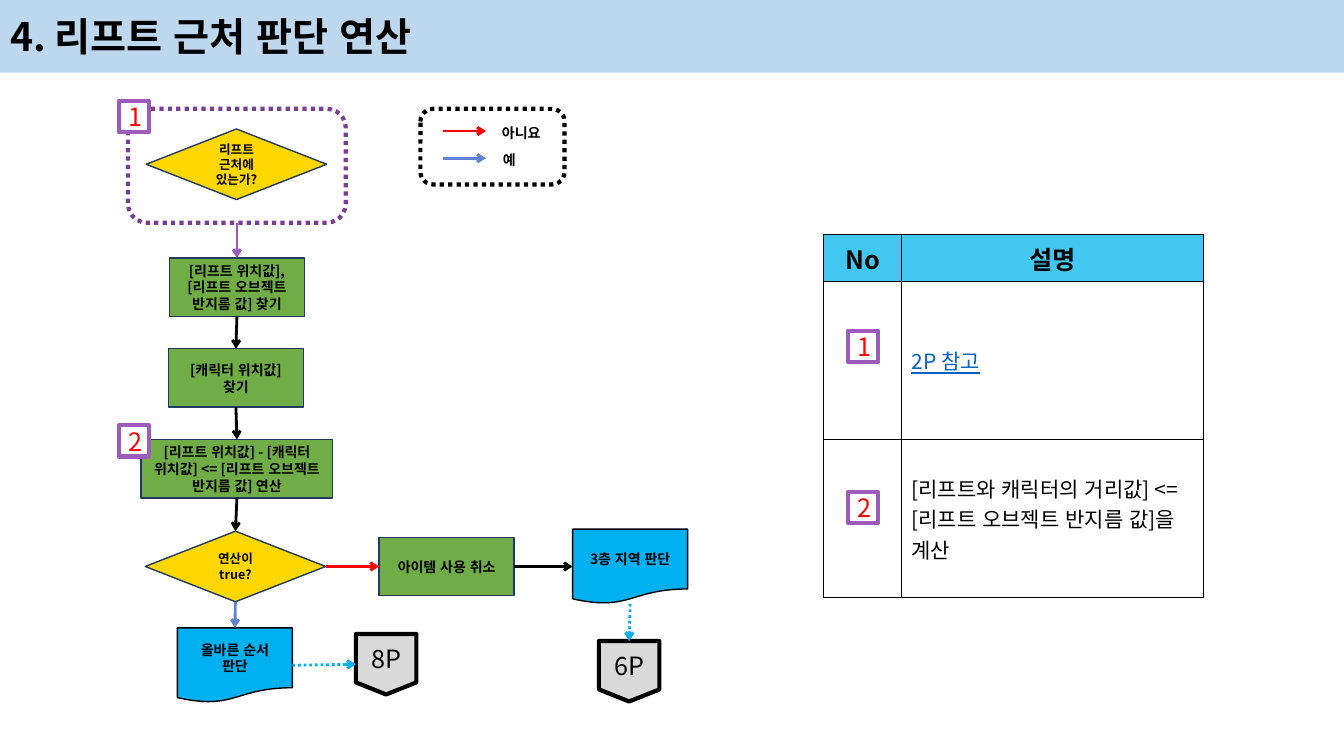
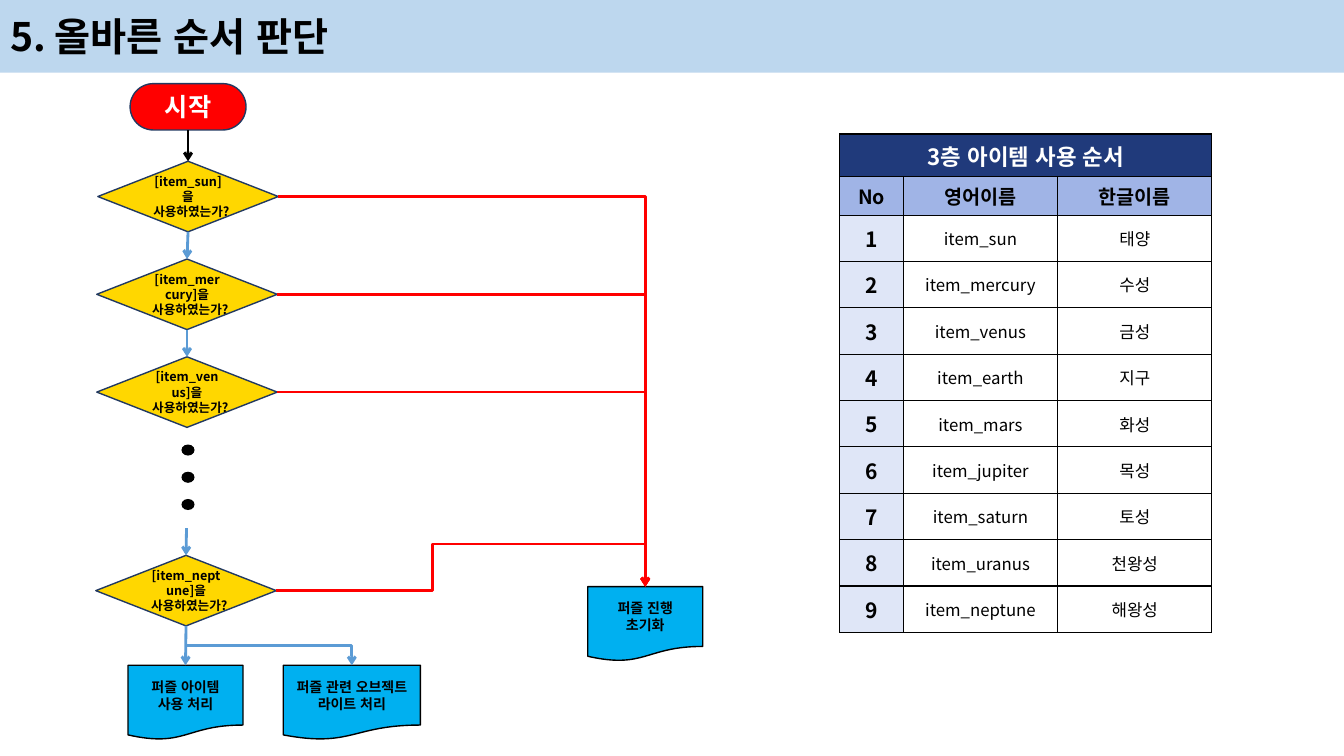
from lxml.etree import SubElement
from pptx import Presentation
from pptx.dml.color import RGBColor
from pptx.enum.dml import MSO_LINE
from pptx.enum.lang import MSO_LANGUAGE_ID
from pptx.enum.shapes import MSO_CONNECTOR, MSO_SHAPE
from pptx.enum.text import MSO_ANCHOR, MSO_AUTO_SIZE, PP_ALIGN
from pptx.oxml import parse_xml
from pptx.oxml.ns import nsdecls, qn
from pptx.util import Inches, Pt

FONT = "Noto Sans CJK KR"
BLACK, WHITE, RED = "000000", "FFFFFF", "FF0000"
BAND, NAVY, YELLOW, GREEN = "BDD7EE", "223961", "FFD700", "70AD47"
CYAN, GRAY, PURPLE, VIOLET = "00B0F0", "D9D9D9", "9D5CBB", "783E94"
YES, NEXT = "6182D6", "5B9BD5"
TOP, BOTTOM, RIGHT, LEFT = 0, 2, 3, 1
color = RGBColor.from_string


def write(frame, text, size, ink=BLACK, bold=True, align=PP_ALIGN.CENTER, underline=None):
    frame.text = text
    for paragraph in frame.paragraphs:
        paragraph.alignment = align
        font = paragraph.font
        font.size = Pt(size)
        font.bold = bold
        font.underline = underline
        font.name = FONT
        font.color.rgb = color(ink)
        font.language_id = MSO_LANGUAGE_ID.KOREAN
        defaults = paragraph._p.find(".//" + qn("a:defRPr"))
        SubElement(defaults, qn("a:ea"), typeface=FONT)


def add_block(shapes, preset, box, fill=None, line=None, width=1, text="", size=10,
              ink=BLACK, bold=True, dash=None):
    block = shapes.add_shape(preset, *map(Inches, box))
    block.shadow.inherit = False
    if fill:
        block.fill.solid()
        block.fill.fore_color.rgb = color(fill)
    else:
        block.fill.background()
    if line:
        block.line.color.rgb = color(line)
        block.line.width = Pt(width)
        block.line.dash_style = dash
    else:
        block.line.fill.background()
    if text:
        block.text_frame.vertical_anchor = MSO_ANCHOR.MIDDLE
        write(block.text_frame, text, size, ink, bold)
    return block


deck = Presentation()
deck.slide_width, deck.slide_height = Inches(13.33), Inches(7.5)

canvases = []
for heading in ("4. 리프트 근처 판단 연산", "5. 올바른 순서 판단"):
    slide = deck.slides.add_slide(deck.slide_layouts[5])
    title = slide.shapes.title
    title.left, title.top, title.width, title.height = map(Inches, (0, 0, 13.33, 0.72))
    title.fill.solid()
    title.fill.fore_color.rgb = color(BAND)
    title.text_frame.auto_size = MSO_AUTO_SIZE.NONE
    title.text_frame.vertical_anchor = MSO_ANCHOR.MIDDLE
    write(title.text_frame, heading, 28, align=PP_ALIGN.LEFT)
    canvases.append(slide.shapes)
lift, order = canvases

tables = [
    (lift, 8.17, 2.33, (0.77, 3), (0.34, 1.57, 1.57), [
        [("No", 18, "42C7F1"), ("설명", 18, "42C7F1")],
        [("", 15, WHITE), ("2P 참고", 15, WHITE, "0563C1", False, PP_ALIGN.LEFT, True)],
        [("", 15, WHITE), ("[리프트와 캐릭터의 거리값] <= [리프트 오브젝트 반지름 값]을 계산",
                           15, WHITE, BLACK, False, PP_ALIGN.LEFT)],
    ]),
]
item_rows = [
    [("3층 아이템 사용 순서", 16, "203A7B", WHITE), ("", 16, "203A7B"), ("", 16, "203A7B")],
    [(name, 14, "A0B4E6") for name in ("No", "영어이름", "한글이름")],
]
planets = [("sun", "태양"), ("mercury", "수성"), ("venus", "금성"), ("earth", "지구"),
           ("mars", "화성"), ("jupiter", "목성"), ("saturn", "토성"),
           ("uranus", "천왕성"), ("neptune", "해왕성")]
for number, (english, korean) in enumerate(planets, 1):
    item_rows.append([(str(number), 15, "DFE6F7"),
                      (f"item_{english}", 12, WHITE, BLACK, False),
                      (korean, 12, WHITE, BLACK, False)])
tables.append((order, 8.33, 1.33, (0.63, 1.53, 1.53), (0.37, 0.33) + (0.46,) * 9, item_rows))

for shapes, left, top, widths, heights, rows in tables:
    table = shapes.add_table(len(heights), len(widths), Inches(left), Inches(top),
                             Inches(sum(widths)), Inches(sum(heights))).table
    table.first_row = table.horz_banding = False
    for column, width in zip(table.columns, widths):
        column.width = Inches(width)
    for row, height, entries in zip(table.rows, heights, rows):
        row.height = Inches(height)
        for cell, (text, size, fill, *style) in zip(row.cells, entries):
            cell.vertical_anchor = MSO_ANCHOR.MIDDLE
            cell.fill.solid()
            cell.fill.fore_color.rgb = color(fill)
            if text:
                write(cell.text_frame, text, size, *style)
            for position, side in enumerate(("lnL", "lnR", "lnT", "lnB")):
                cell._tc.tcPr.insert(position, parse_xml(
                    f'<a:{side} {nsdecls("a")} w="12700"><a:solidFill>'
                    f'<a:srgbClr val="{BLACK}"/></a:solidFill></a:{side}>'))
    if shapes is order:
        table.cell(0, 0).merge(table.cell(0, 2))

near_lift = add_block(lift, MSO_SHAPE.DIAMOND, (1.45, 1.28, 1.79, 0.7), YELLOW, NAVY,
                      text="리프트 근처에 있는가?", size=9)
condition = add_block(lift, MSO_SHAPE.ROUNDED_RECTANGLE, (1.27, 1.08, 2.16, 1.13),
                      line=VIOLET, width=3, dash=MSO_LINE.ROUND_DOT)
find_lift, find_character, compare, cancel = [
    add_block(lift, MSO_SHAPE.RECTANGLE, (left, top, width, 0.58), GREEN, NAVY, text=text)
    for left, top, width, text in [
        (1.68, 2.56, 1.34, "[리프트 위치값],\n[리프트 오브젝트 반지름 값] 찾기"),
        (1.67, 3.46, 1.34, "[캐릭터 위치값] 찾기"),
        (1.4, 4.36, 1.9, "[리프트 위치값] - [캐릭터 위치값] <= [리프트 오브젝트 반지름 값] 연산"),
        (3.76, 5.33, 1.34, "아이템 사용 취소"),
    ]]
is_true = add_block(lift, MSO_SHAPE.DIAMOND, (1.44, 5.27, 1.79, 0.7), YELLOW, NAVY,
                    text="연산이 true?", size=9)
floor_check, order_check, reset, use_item, light = [
    add_block(shapes, MSO_SHAPE.FLOWCHART_DOCUMENT, (left, top, width, 0.74), CYAN, BLACK,
              text=text)
    for shapes, left, top, width, text in [
        (lift, 5.68, 5.25, 1.14, "3층 지역 판단"),
        (lift, 1.76, 6.23, 1.14, "올바른 순서\n판단"),
        (order, 5.83, 5.82, 1.14, "퍼즐 진행\n초기화"),
        (order, 1.27, 6.6, 1.14, "퍼즐 아이템\n사용 처리"),
        (order, 2.81, 6.6, 1.36, "퍼즐 관련 오브젝트 라이트 처리"),
    ]]
page_8, page_6 = [
    add_block(lift, MSO_SHAPE.FLOWCHART_OFFPAGE_CONNECTOR, (left, top, 0.6, 0.6), GRAY, BLACK,
              3, text, 18, bold=False)
    for left, top, text in [(3.53, 6.29, "8P"), (5.94, 6.36, "6P")]]
for left, top, number in [(8.41, 3.28, "1"), (8.41, 4.88, "2"), (1.18, 1, "1"), (1.18, 4.22, "2")]:
    add_block(lift, MSO_SHAPE.RECTANGLE, (left, top, 0.3, 0.31), WHITE, PURPLE, 3,
              number, 18, RED, False)

arrows = []
legend = lift.add_group_shape().shapes
add_block(legend, MSO_SHAPE.ROUNDED_RECTANGLE, (4.17, 1.08, 1.43, 0.75),
          line=BLACK, width=3, dash=MSO_LINE.ROUND_DOT)
for answer, ink, y, left, label_top, width in [("아니요", RED, 1.3, 4.88, 1.19, 0.65),
                                               ("예", YES, 1.57, 4.89, 1.45, 0.37)]:
    sample = legend.add_connector(MSO_CONNECTOR.STRAIGHT, Inches(4.39), Inches(y),
                                  Inches(4.82), Inches(y))
    arrows.append((sample, ink, None))
    label = legend.add_textbox(Inches(left), Inches(label_top), Inches(width), Inches(0.43))
    label.text_frame.word_wrap = False
    write(label.text_frame, answer, 10, align=PP_ALIGN.LEFT)

start = add_block(order, MSO_SHAPE.ROUNDED_RECTANGLE, (1.29, 0.83, 1.15, 0.46), RED, NAVY,
                  text="시작", size=18, ink=WHITE)
start.adjustments[0] = 0.5
sun, mercury, venus, neptune = [
    add_block(order, MSO_SHAPE.DIAMOND, (left, top, 1.79, 0.7), YELLOW, NAVY,
              text=f"[item_{planet}]을 사용하였는가?", size=9)
    for left, top, planet in [(0.97, 1.6, "sun"), (0.96, 2.57, "mercury"),
                              (0.96, 3.54, "venus"), (0.95, 5.51, "neptune")]]
for step in range(3):
    add_block(order, MSO_SHAPE.OVAL, (1.8, 4.41 + 0.27 * step, 0.13, 0.11), BLACK)
resume = order.add_connector(MSO_CONNECTOR.STRAIGHT, Inches(1.85), Inches(5.24),
                             Inches(1.85), Inches(5.51))
resume.end_connect(neptune, TOP)
arrows.append((resume, NEXT, None))

flows = [
    (lift, condition, BOTTOM, find_lift, TOP, PURPLE, None),
    (lift, find_lift, BOTTOM, find_character, TOP, BLACK, None),
    (lift, find_character, BOTTOM, compare, TOP, BLACK, None),
    (lift, compare, BOTTOM, is_true, TOP, BLACK, None),
    (lift, is_true, RIGHT, cancel, LEFT, RED, None),
    (lift, cancel, RIGHT, floor_check, LEFT, BLACK, None),
    (lift, is_true, BOTTOM, order_check, TOP, YES, None),
    (lift, order_check, RIGHT, page_8, LEFT, CYAN, MSO_LINE.ROUND_DOT),
    (lift, floor_check, BOTTOM, page_6, TOP, CYAN, MSO_LINE.ROUND_DOT),
    (order, start, BOTTOM, sun, TOP, BLACK, None),
    (order, sun, BOTTOM, mercury, TOP, NEXT, None),
    (order, mercury, BOTTOM, venus, TOP, NEXT, None),
    (order, neptune, BOTTOM, use_item, TOP, NEXT, None),
    (order, sun, RIGHT, reset, TOP, RED, None),
    (order, mercury, RIGHT, reset, TOP, RED, None),
    (order, venus, RIGHT, reset, TOP, RED, None),
    (order, neptune, RIGHT, reset, TOP, RED, None),
    (order, neptune, BOTTOM, light, TOP, NEXT, None),
]
for shapes, origin, exit_site, target, entry_site, ink, dash in flows:
    bent = target in (reset, light)
    arrow = shapes.add_connector(MSO_CONNECTOR.ELBOW if bent else MSO_CONNECTOR.STRAIGHT, 0, 0, 0, 0)
    arrow.begin_connect(origin, exit_site)
    arrow.end_connect(target, entry_site)
    arrows.append((arrow, ink, dash))
    geometry = arrow._element.spPr.find(qn("a:prstGeom"))
    if target is light:
        left, top, width, height = arrow.left, arrow.top, arrow.width, arrow.height
        shift = (width - height) // 2
        arrow.left, arrow.top, arrow.width, arrow.height = left + shift, top - shift, height, width
        turn = arrow._element.spPr.find(qn("a:xfrm"))
        turn.set("rot", "5400000")
        turn.set("flipV", "1")
    elif origin is neptune and target is reset:
        geometry.set("prst", "bentConnector4")
        guides = geometry.find(qn("a:avLst"))
        ratios = ((Inches(4.29) - arrow.begin_x) / arrow.width,
                  (arrow.begin_y - Inches(5.4)) / arrow.height)
        for number, ratio in enumerate(ratios, 1):
            SubElement(guides, qn("a:gd"), name=f"adj{number}", fmla=f"val {round(ratio * 100000)}")
    elif bent:
        geometry.set("prst", "bentConnector2")

for arrow, ink, dash in arrows:
    arrow.line.color.rgb = color(ink)
    arrow.line.width = Pt(2)
    arrow.line.dash_style = dash
    SubElement(arrow.line._get_or_add_ln(), qn("a:tailEnd"), type="arrow")
    SubElement(arrow._element.spPr, qn("a:effectLst"))

deck.save("out.pptx")
